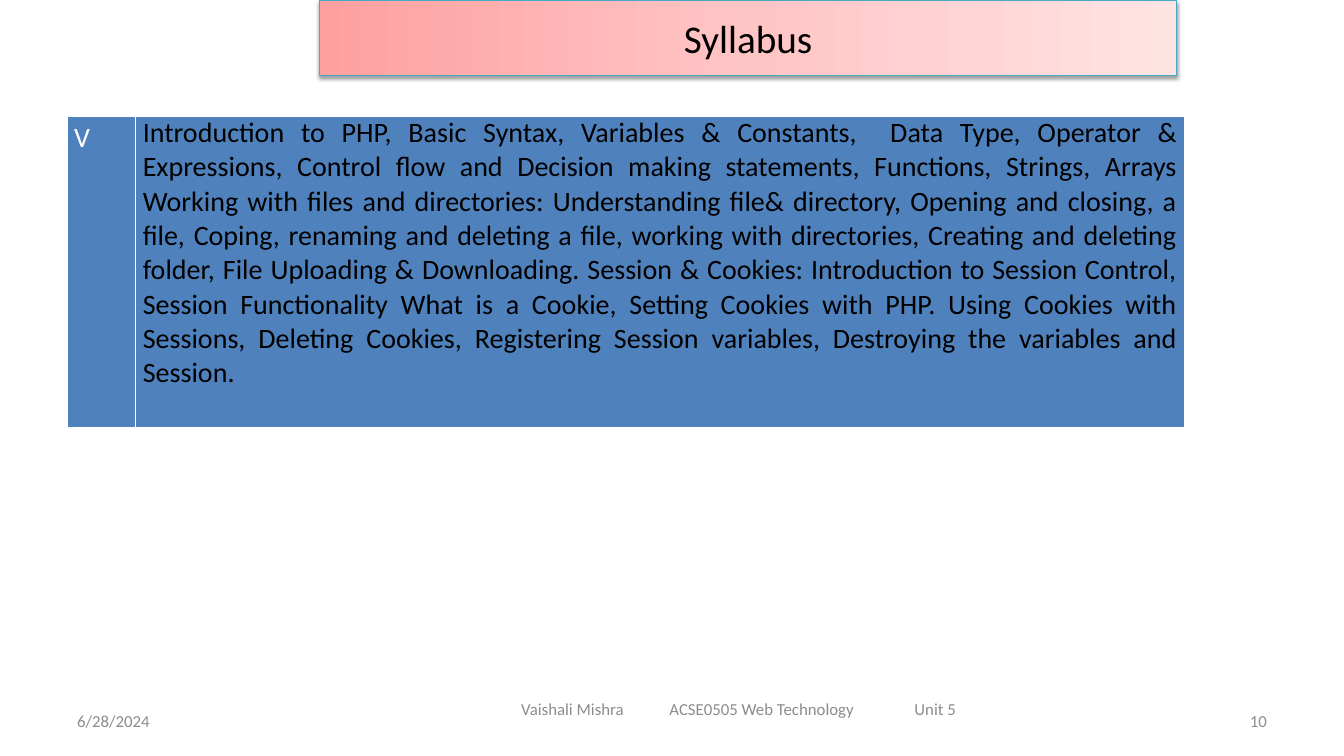
from collections import namedtuple
from dataclasses import dataclass

from lxml.etree import SubElement
from pptx import Presentation
from pptx.dml.color import RGBColor
from pptx.enum.shapes import MSO_SHAPE as Shape
from pptx.enum.text import MSO_ANCHOR as Anchor, PP_ALIGN as Align
from pptx.oxml.ns import qn
from pptx.util import Inches, Pt

Box = namedtuple("Box", "left top width height")


@dataclass(frozen=True)
class Theme:
    font: str = "Calibri"
    title_size: int = 28
    body_size: int = 20
    footer_size: int = 12
    ink: str = "000000"
    paper: str = "FFFFFF"
    muted: str = "8C8C8C"
    cell: str = "4F81BD"
    banner_line: str = "46AAC5"
    banner_stops: tuple = ((0, "FFA0A0"), (50, "FFC5C5"), (100, "FFE3E3"))


THEME = Theme()
SLIDE_W, SLIDE_H = 13.33, 7.5
MARGIN = 0.05 * SLIDE_W

SYLLABUS = (
    "Introduction to PHP, Basic Syntax, Variables & Constants,  Data Type, "
    "Operator & Expressions, Control flow and Decision making statements, "
    "Functions, Strings, Arrays Working with files and directories: "
    "Understanding file& directory, Opening and closing, a file, Coping, "
    "renaming and deleting a file, working with directories, Creating and "
    "deleting folder, File Uploading & Downloading. Session & Cookies: "
    "Introduction to Session Control, Session Functionality What is a Cookie, "
    "Setting Cookies with PHP. Using Cookies with Sessions, Deleting Cookies, "
    "Registering Session variables, Destroying the variables and Session."
)


def emu(box):
    return [Inches(length) for length in box]


def add_xml(parent, tag, **attributes):
    child = SubElement(parent, qn(tag))
    for key, value in attributes.items():
        child.set(key, str(value))
    return child


def write(frame, text, size, color, align):
    frame.word_wrap = True
    paragraph = frame.paragraphs[0]
    paragraph.text = text
    paragraph.alignment = align
    for run in paragraph.runs:
        run.font.name = THEME.font
        run.font.size = Pt(size)
        run.font.color.rgb = RGBColor.from_string(color)
    return paragraph


def add_banner(slide, box, title):
    banner = slide.shapes.add_shape(Shape.RECTANGLE, *emu(box))
    banner.line.color.rgb = RGBColor.from_string(THEME.banner_line)
    banner.line.width = Pt(0.75)

    # Three-stop gradient, left to right
    banner.fill.gradient()
    banner.fill.gradient_angle = 0
    stops = banner.fill._fill._gradFill.find(qn("a:gsLst"))
    for stop in list(stops):
        stops.remove(stop)
    for share, color in THEME.banner_stops:
        stop = add_xml(stops, "a:gs", pos=share * 1000)
        add_xml(stop, "a:srgbClr", val=color)

    # Soft shadow below
    banner.shadow.inherit = False
    effects = banner._element.spPr.find(qn("a:effectLst"))
    shadow = add_xml(effects, "a:outerShdw", blurRad=Pt(3.1), dist=Pt(1.6),
                     dir=90 * 60000, rotWithShape=0)
    shade = add_xml(shadow, "a:srgbClr", val=THEME.ink)
    add_xml(shade, "a:alpha", val=38000)

    banner.text_frame.vertical_anchor = Anchor.MIDDLE
    write(banner.text_frame, title, THEME.title_size, THEME.ink, Align.CENTER)


def add_borders(cell):
    properties = cell._tc.get_or_add_tcPr()
    for place, (side, width) in enumerate(zip("LRTB", (1, 1, 1, 3))):
        border = add_xml(properties, f"a:ln{side}", w=Pt(width))
        fill = add_xml(border, "a:solidFill")
        add_xml(fill, "a:srgbClr", val=THEME.paper)
        properties.insert(place, border)


def add_syllabus(slide, box, unit, topics):
    table = slide.shapes.add_table(1, 2, *emu(box)).table
    table.first_row = table.horz_banding = False
    unit_width = 0.68
    columns = (
        (unit, unit_width, THEME.paper, 1.15),
        (topics, box.width - unit_width, THEME.ink, 1.0),
    )
    for index, (text, width, color, spacing) in enumerate(columns):
        table.columns[index].width = Inches(width)
        cell = table.cell(0, index)
        cell.fill.solid()
        cell.fill.fore_color.rgb = RGBColor.from_string(THEME.cell)
        cell.margin_left = cell.margin_right = Inches(0.07)
        cell.margin_top = cell.margin_bottom = 0
        add_borders(cell)
        paragraph = write(cell.text_frame, text, THEME.body_size, color,
                          Align.JUSTIFY)
        paragraph.line_spacing = spacing


def add_footer_text(slide, box, text, align, inset=0.1, tabs=()):
    frame = slide.shapes.add_textbox(*emu(box)).text_frame
    frame.vertical_anchor = Anchor.MIDDLE
    frame.margin_left = Inches(inset)
    paragraph = write(frame, text, THEME.footer_size, THEME.muted, align)
    if tabs:
        tab_list = add_xml(paragraph._p.get_or_add_pPr(), "a:tabLst")
        for position in tabs:
            add_xml(tab_list, "a:tab", pos=Inches(position), algn="l")


def add_footer(slide, box):
    side_width, middle_width = 3.11, 5.17
    add_footer_text(slide, Box(box.left, box.top, side_width, box.height),
                    "6/28/2024", Align.LEFT)
    # Author, course and unit stand on tab stops
    add_footer_text(slide, Box(4.75, box.top - 0.12, middle_width, box.height),
                    "Vaishali Mishra\tACSE0505 Web Technology\tUnit 5",
                    Align.LEFT, inset=0.42, tabs=(1.47, 3.9))
    number_left = box.left + box.width - side_width
    add_footer_text(slide, Box(number_left, box.top, side_width, box.height),
                    "10", Align.RIGHT)


def main():
    deck = Presentation()
    deck.slide_width, deck.slide_height = Inches(SLIDE_W), Inches(SLIDE_H)
    slide = deck.slides.add_slide(deck.slide_layouts[6])
    add_footer(slide, Box(MARGIN, 6.95, SLIDE_W - 2 * MARGIN, 0.4))
    add_banner(slide, Box(3.17, 0, 8.5, 0.1 * SLIDE_H), "Syllabus")
    add_syllabus(slide, Box(MARGIN, 1.15, 11.08, 3.1), "V", SYLLABUS)
    deck.save("out.pptx")


if __name__ == "__main__":
    main()
